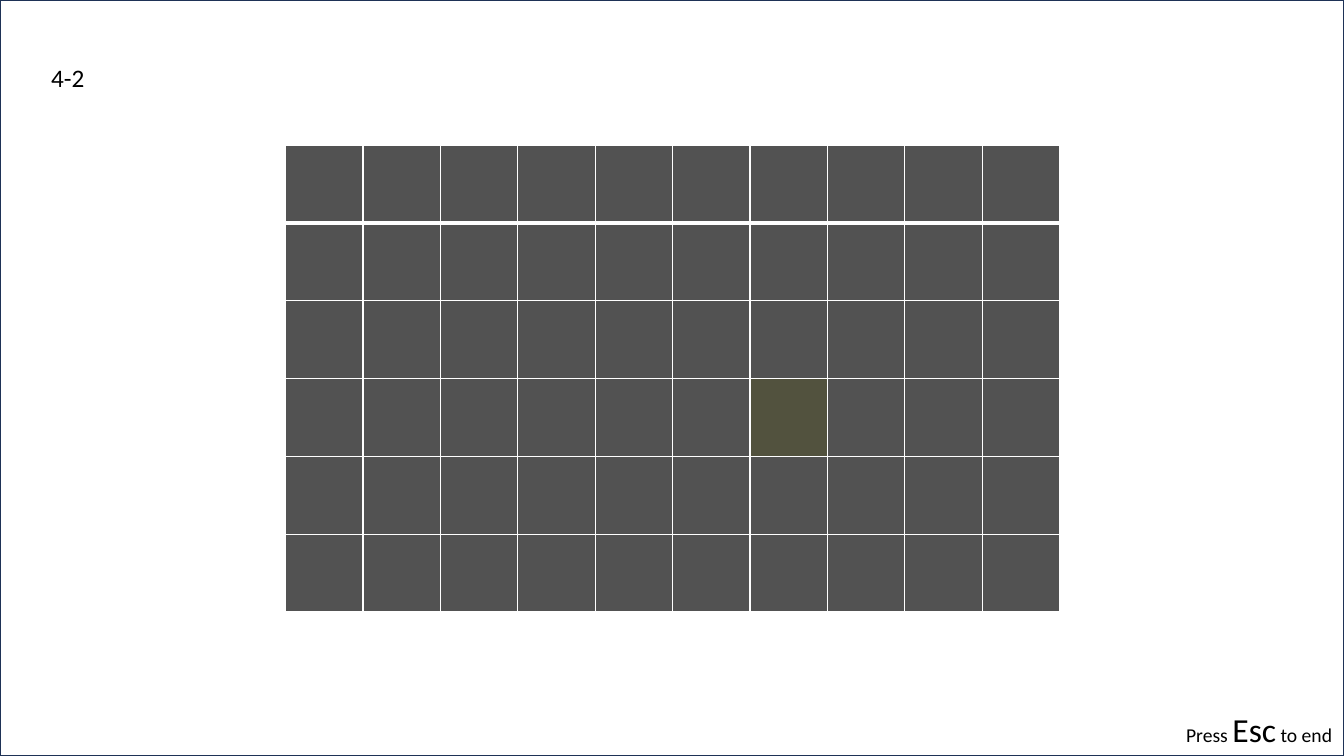
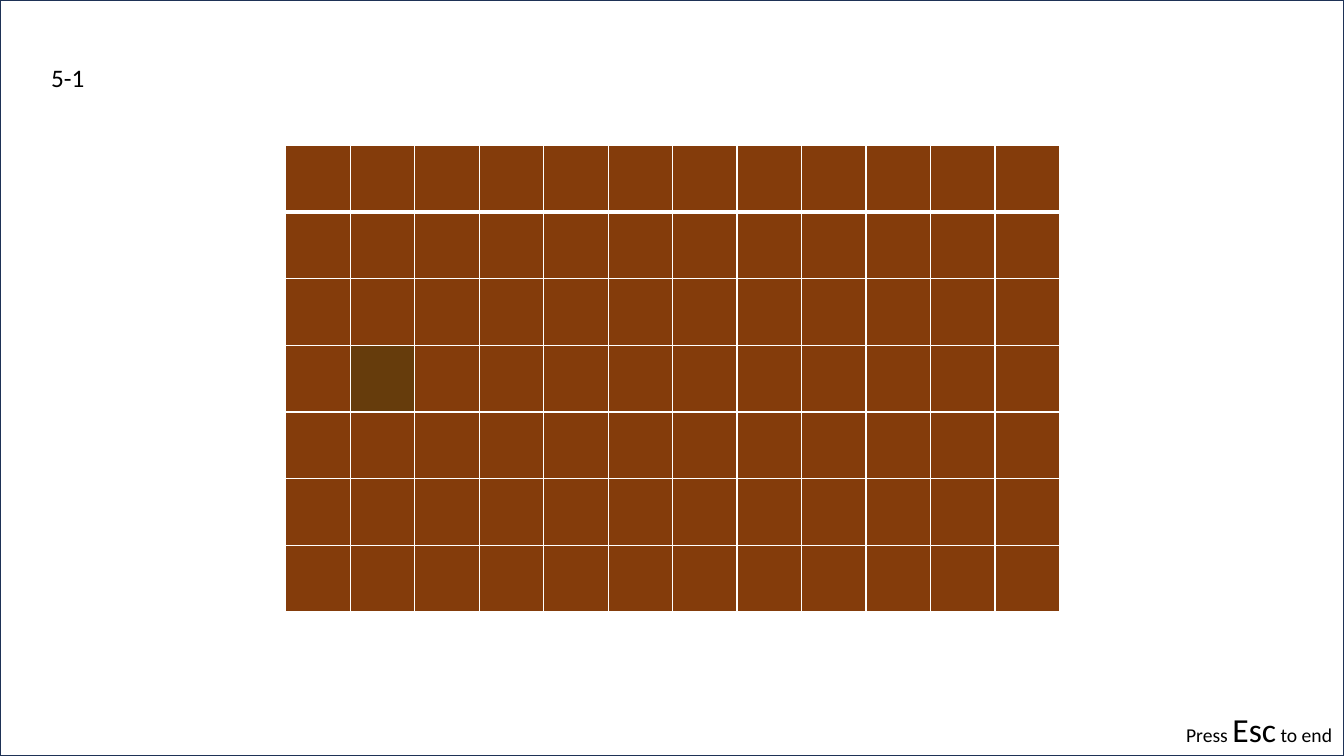
from dataclasses import dataclass

from lxml.etree import SubElement
from pptx import Presentation
from pptx.dml.color import RGBColor
from pptx.enum.shapes import MSO_SHAPE
from pptx.enum.text import MSO_AUTO_SIZE
from pptx.oxml.ns import qn
from pptx.util import Cm, Pt


@dataclass(frozen=True)
class Theme:
    """Colours, font and type sizes of the deck."""
    font: str = "Calibri"
    text: str = "000000"
    frame: str = "1E3256"
    grid: str = "FFFFFF"
    label: int = 18
    hint: int = 14
    key: int = 24
    thin: int = 1
    thick: int = 3


class Deck:
    """Builds colour-search slides in one style."""

    def __init__(self, prs, theme):
        self.prs = prs
        self.theme = theme
        self.slide = None

    def add_slide(self):
        """Starts a new blank slide."""
        self.slide = self.prs.slides.add_slide(self.prs.slide_layouts[6])

    def text(self, left, top, width, height, runs):
        """Adds one line of text from (text, size) runs."""
        box = self.slide.shapes.add_textbox(Cm(left), Cm(top), Cm(width), Cm(height))
        tf = box.text_frame
        tf.word_wrap = False
        tf.auto_size = MSO_AUTO_SIZE.SHAPE_TO_FIT_TEXT
        p = tf.paragraphs[0]
        for text, size in runs:
            r = p.add_run()
            r.text = text
            r.font.name = self.theme.font
            r.font.size = Pt(size)
            r.font.color.rgb = RGBColor.from_string(self.theme.text)

    def frame(self):
        """Outlines the whole slide."""
        sp = self.slide.shapes.add_shape(
            MSO_SHAPE.RECTANGLE, 0, 0, self.prs.slide_width, self.prs.slide_height)
        sp.shadow.inherit = False
        sp.fill.background()
        sp.line.color.rgb = RGBColor.from_string(self.theme.frame)
        sp.line.width = Pt(self.theme.thin)

    def border(self, cell, side, width):
        """Draws one side of a table cell."""
        tc_pr = cell._tc.get_or_add_tcPr()
        ln = SubElement(tc_pr, qn(f"a:ln{side}"), w=str(Pt(width)))
        fill = SubElement(ln, qn("a:solidFill"))
        SubElement(fill, qn("a:srgbClr"), val=self.theme.grid)

    def grid(self, rows, cols, color, odd_cell, odd_color):
        """Adds the grid of tiles with one odd tile at (row, column)."""
        width, height = Cm(19.5), Cm(11.76)
        table = self.slide.shapes.add_table(
            rows, cols, Cm(7.2), Cm(3.66), width, height).table
        for column in table.columns:
            column.width = width // cols
        for row in table.rows:
            row.height = height // rows
        thin, thick = self.theme.thin, self.theme.thick
        for i in range(rows):
            sides = {"L": thin, "R": thin,
                     "T": thick if i == 1 else thin,
                     "B": thick if i == 0 else thin}
            for j in range(cols):
                cell = table.cell(i, j)
                for side, line_width in sides.items():
                    self.border(cell, side, line_width)
                cell.fill.solid()
                cell.fill.fore_color.rgb = RGBColor.from_string(
                    odd_color if (i, j) == odd_cell else color)

    def puzzle(self, label, *grid):
        """Adds a full slide: grid, label, frame and key hint."""
        theme = self.theme
        self.add_slide()
        self.grid(*grid)
        self.text(1.04, 1.45, 1.37, 1.03, [(label, theme.label)])
        self.frame()
        self.text(29.64, 17.75, 4.22, 1.28, [
            ("Press ", theme.hint), ("Esc", theme.key), (" to end", theme.hint)])


def main():
    """Builds and saves the deck."""
    prs = Presentation()
    prs.slide_width, prs.slide_height = Cm(33.87), Cm(19.05)
    deck = Deck(prs, Theme())
    deck.puzzle("4-2", 6, 10, "525252", (3, 6), "52523E")
    deck.puzzle("5-1", 7, 12, "843C0B", (3, 1), "663C0C")
    prs.save("out.pptx")


if __name__ == "__main__":
    main()
